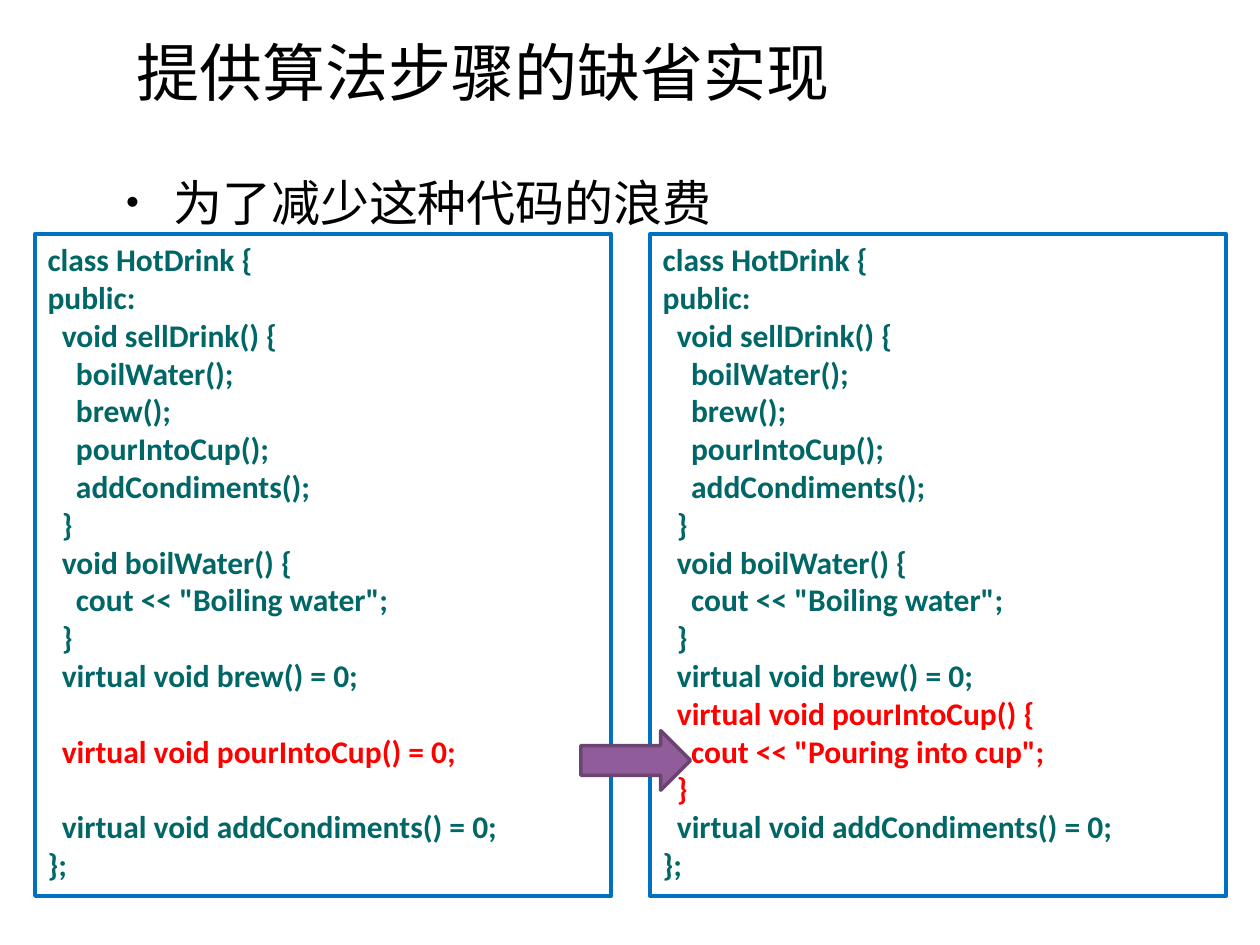
"""Build a slide comparing an abstract algorithm step with its default implementation."""
from lxml.etree import SubElement
from pptx import Presentation
from pptx.dml.color import RGBColor
from pptx.enum.shapes import MSO_SHAPE
from pptx.enum.text import MSO_ANCHOR, PP_ALIGN
from pptx.oxml.ns import qn
from pptx.util import Cm, Pt

BLACK = RGBColor(0x00, 0x00, 0x00)
TEAL = RGBColor(0x00, 0x66, 0x66)
RED = RGBColor(0xFF, 0x00, 0x00)
BLUE = RGBColor(0x00, 0x70, 0xC0)
PURPLE = RGBColor(0x90, 0x5C, 0x9A)
DARK_PURPLE = RGBColor(0x6B, 0x44, 0x72)

TITLE = "提供算法步骤的缺省实现"
POINT = "为了减少这种代码的浪费"
CODE_START = [
    "class HotDrink {",
    "public:",
    "  void sellDrink() {",
    "    boilWater();",
    "    brew();",
    "    pourIntoCup();",
    "    addCondiments();",
    "  }",
    "  void boilWater() {",
    '    cout << "Boiling water";',
    "  }",
    "  virtual void brew() = 0;",
]
ABSTRACT_STEP = ["  virtual void pourIntoCup() = 0;"]
DEFAULT_STEP = [
    "  virtual void pourIntoCup() {",
    '    cout << "Pouring into cup";',
    "  }",
]
CODE_END = ["  virtual void addCondiments() = 0;", "};"]

PANEL_LEFT, PANEL_TOP = 0.71, 4.72
PANEL_WIDTH, PANEL_HEIGHT, PANEL_PITCH = 11.61, 13.34, 12.4
LINE_HEIGHT = 21.6


def place(shape, left, top, width, height):
    shape.left, shape.top = Cm(left), Cm(top)
    shape.width, shape.height = Cm(width), Cm(height)


def add_span(para, text, font_name, size, color, bold=False):
    span = para.add_run()
    span.text = text
    span.font.name = font_name
    span.font.size = Pt(size)
    span.font.bold = bold
    span.font.color.rgb = color


def add_bullet(para):
    properties = para._p.get_or_add_pPr()
    properties.set("marL", str(Cm(0.95)))
    properties.set("indent", str(Cm(-0.95)))
    SubElement(properties, qn("a:buSzPct"), val="75000")
    SubElement(properties, qn("a:buFont"), typeface="Arial")
    SubElement(properties, qn("a:buChar"), char="•")


def add_code_panel(page, column, step):
    panel = page.shapes.add_shape(
        MSO_SHAPE.RECTANGLE,
        Cm(PANEL_LEFT + column * PANEL_PITCH), Cm(PANEL_TOP),
        Cm(PANEL_WIDTH), Cm(PANEL_HEIGHT),
    )
    panel.shadow.inherit = False
    panel.fill.background()
    panel.line.color.rgb = BLUE
    panel.line.width = Pt(2.5)
    frame = panel.text_frame
    frame.word_wrap = True
    frame.vertical_anchor = MSO_ANCHOR.TOP
    gap = Pt(LINE_HEIGHT * (len(DEFAULT_STEP) - len(step)) / 2)
    lines = [(text, TEAL) for text in CODE_START]
    lines += [(text, RED) for text in step]
    lines += [(text, TEAL) for text in CODE_END]
    for index, (text, color) in enumerate(lines):
        para = frame.add_paragraph() if index else frame.paragraphs[0]
        para.alignment = PP_ALIGN.LEFT
        if color == RED and gap:
            para.space_before = para.space_after = gap
        add_span(para, text, "Calibri", 18, color, bold=True)


def main():
    deck = Presentation()
    deck.slide_width, deck.slide_height = Cm(25.4), Cm(19.05)
    page = deck.slides.add_slide(deck.slide_layouts[1])

    title = page.shapes.title
    place(title, 2.49, 0.33, 23.6, 2.21)
    title.text_frame.vertical_anchor = MSO_ANCHOR.MIDDLE
    para = title.text_frame.paragraphs[0]
    para.alignment = PP_ALIGN.LEFT
    add_span(para, TITLE, "Arial", 36, BLACK)

    body = page.placeholders[1]
    place(body, 2.29, 3.12, 22, 3.99)
    para = body.text_frame.paragraphs[0]
    para.line_spacing = 1.2
    para.space_before = Pt(0)
    add_bullet(para)
    add_span(para, POINT, "Arial", 28, BLACK)

    for column, step in enumerate((ABSTRACT_STEP, DEFAULT_STEP)):
        add_code_panel(page, column, step)

    arrow = page.shapes.add_shape(
        MSO_SHAPE.RIGHT_ARROW, Cm(11.71), Cm(14.73), Cm(2.21), Cm(1.2)
    )
    arrow.shadow.inherit = False
    arrow.fill.solid()
    arrow.fill.fore_color.rgb = PURPLE
    arrow.line.color.rgb = DARK_PURPLE
    arrow.line.width = Pt(2)

    deck.save("out.pptx")


if __name__ == "__main__":
    main()
